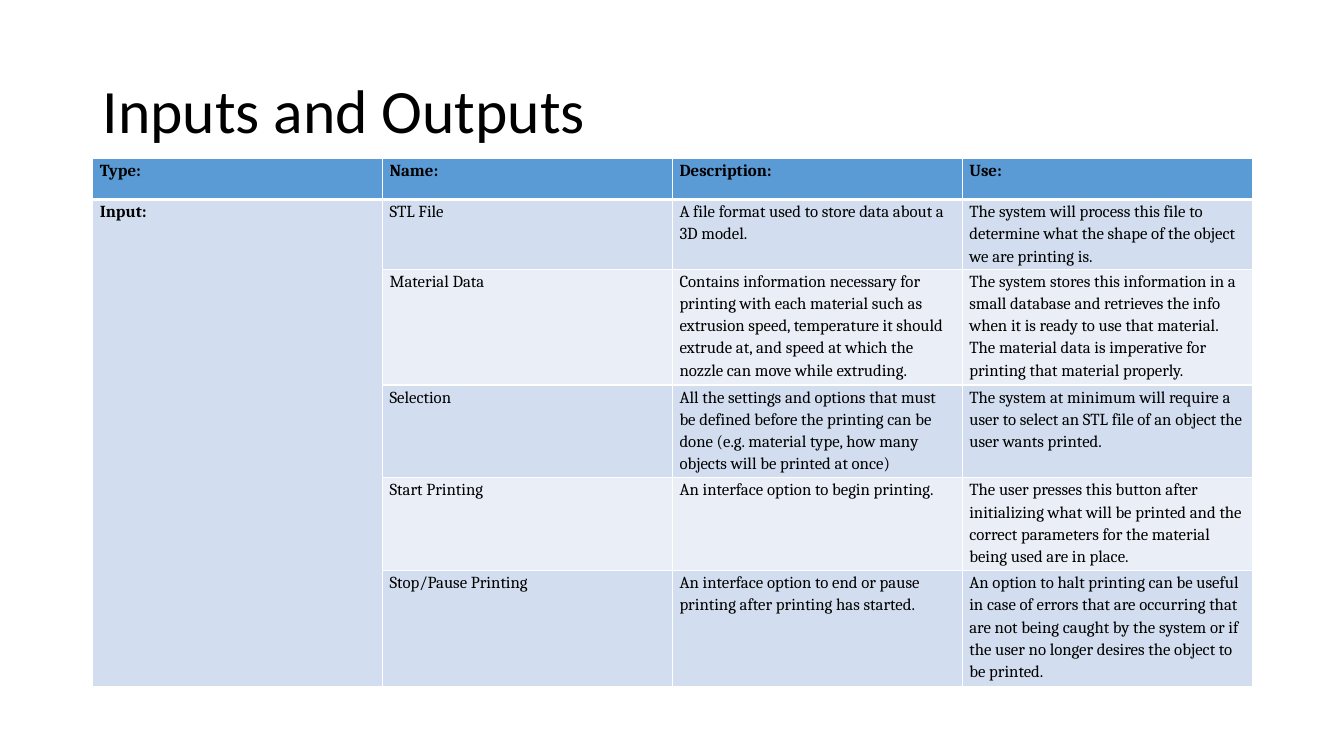
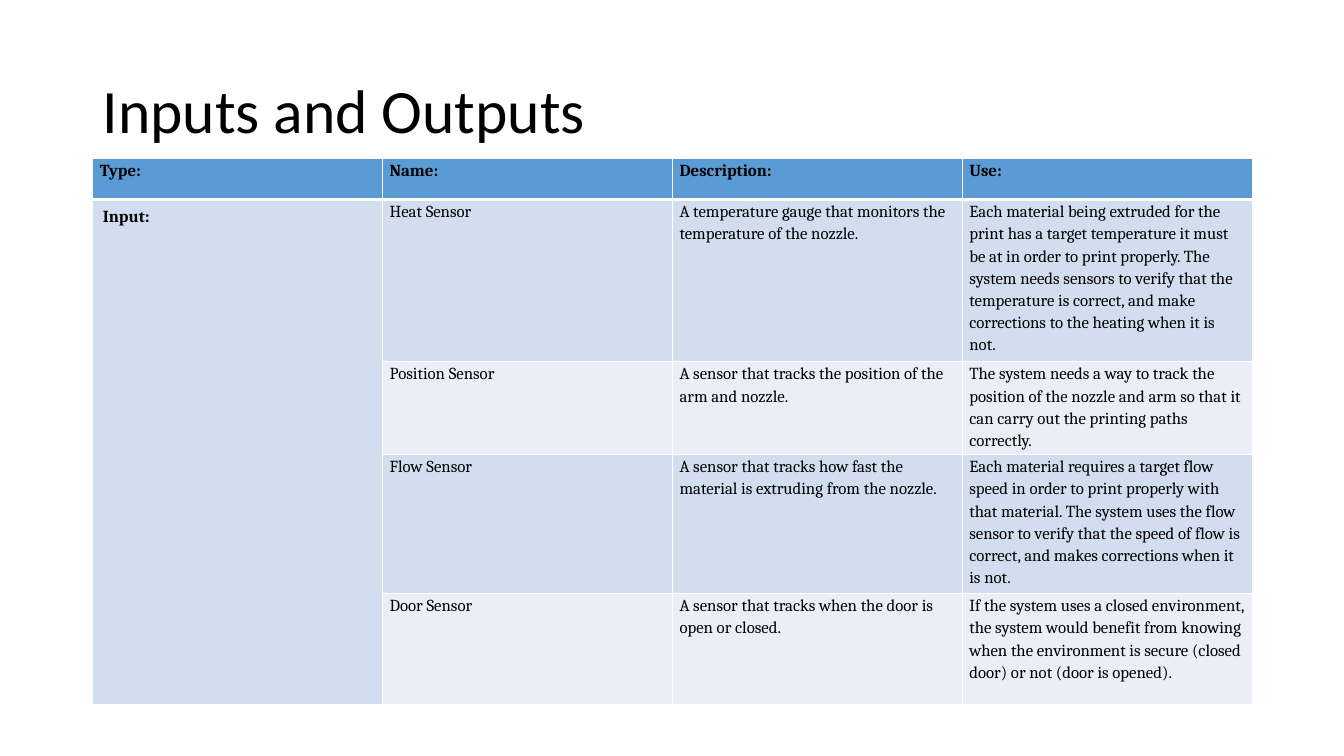
import pptx
import pptx.dml.color
import pptx.enum.text
import pptx.oxml.ns
import pptx.util
from lxml import etree

Inches = pptx.util.Inches
Pt = pptx.util.Pt


def color(hex_text):
    return pptx.dml.color.RGBColor.from_string(hex_text)


class Deck:
    """Holds the shared style and the current slide."""

    TEXT, BORDER, HEADER = "000000", "FFFFFF", "5B9BD5"
    BANDS = ("D2DEEF", "EAEFF7")
    TITLE_FONT, TABLE_FONT = "Calibri", "Cambria"
    LEFT, WIDTH, TABLE_TOP = 0.92, 11.5, 1.57
    HEADER_HEIGHT, LINE_HEIGHT = 0.41, 0.22
    HEADINGS = ("Type:", "Name:", "Description:", "Use:")

    def __init__(self):
        self.presentation = pptx.Presentation()
        self.presentation.slide_width = Inches(13.33)
        self.presentation.slide_height = Inches(7.5)
        self.slide = None

    def add_slide(self):
        blank_layout = self.presentation.slide_layouts[6]
        self.slide = self.presentation.slides.add_slide(blank_layout)

    def style(self, paragraph, font_name, size, bold=False):
        paragraph.font.name = font_name
        paragraph.font.size = Pt(size)
        paragraph.font.bold = bold
        paragraph.font.color.rgb = color(self.TEXT)

    def add_title(self, text):
        box = self.slide.shapes.add_textbox(
            Inches(self.LEFT), Inches(0.4), Inches(self.WIDTH), Inches(1.45))
        frame = box.text_frame
        frame.word_wrap = True
        frame.vertical_anchor = pptx.enum.text.MSO_ANCHOR.MIDDLE
        paragraph = frame.paragraphs[0]
        paragraph.text = text
        paragraph.line_spacing = 0.9
        self.style(paragraph, self.TITLE_FONT, 44)

    def add_border(self, cell, side, width):
        qualified = pptx.oxml.ns.qn
        properties = cell._tc.get_or_add_tcPr()
        line = etree.SubElement(
            properties, qualified("a:ln" + side), w=str(Pt(width)))
        fill = etree.SubElement(line, qualified("a:solidFill"))
        etree.SubElement(fill, qualified("a:srgbClr"), val=self.BORDER)

    def format_cell(self, cell, row, column):
        cell.margin_left = cell.margin_right = Inches(0.07)
        cell.margin_top = cell.margin_bottom = 0
        # A thick rule separates the header from the body
        widths = {"L": 1, "R": 1, "T": 3 if row == 1 else 1, "B": 3 if row == 0 else 1}
        for side, width in widths.items():
            self.add_border(cell, side, width)
        band = self.BANDS[0 if column == 0 else (row - 1) % 2]
        cell.fill.solid()
        cell.fill.fore_color.rgb = color(self.HEADER if row == 0 else band)
        paragraph = cell.text_frame.paragraphs[0]
        paragraph.line_spacing = 1.15
        paragraph.space_after = Pt(10)
        self.style(paragraph, self.TABLE_FONT, 12, bold=row == 0 or column == 0)

    def add_table(self, group, entries):
        """Each entry is (lines of text, name, description, use)."""
        heights = [self.HEADER_HEIGHT]
        heights += [entry[0] * self.LINE_HEIGHT for entry in entries]
        texts = [self.HEADINGS]
        texts += [("" if index else group, *entry[1:])
                  for index, entry in enumerate(entries)]
        table = self.slide.shapes.add_table(
            len(texts), len(self.HEADINGS), Inches(self.LEFT),
            Inches(self.TABLE_TOP), Inches(self.WIDTH), Inches(sum(heights))).table
        for row, (height, row_texts) in enumerate(zip(heights, texts)):
            table.rows[row].height = Inches(height)
            for column, text in enumerate(row_texts):
                cell = table.cell(row, column)
                cell.text = text
                self.format_cell(cell, row, column)
        table.cell(1, 0).merge(table.cell(len(entries), 0))
        return table


CONTROLS = [
    (3, "STL File",
     "A file format used to store data about a 3D model.",
     "The system will process this file to determine what the shape of the "
     "object we are printing is."),
    (5, "Material Data",
     "Contains information necessary for printing with each material such as "
     "extrusion speed, temperature it should extrude at, and speed at which the "
     "nozzle can move while extruding.",
     "The system stores this information in a small database and retrieves the "
     "info when it is ready to use that material. The material data is "
     "imperative for printing that material properly."),
    (4, "Selection",
     "All the settings and options that must be defined before the printing can "
     "be done (e.g. material type, how many objects will be printed at once)",
     "The system at minimum will require a user to select an STL file of an "
     "object the user wants printed."),
    (4, "Start Printing",
     "An interface option to begin printing.",
     "The user presses this button after initializing what will be printed and "
     "the correct parameters for the material being used are in place."),
    (5, "Stop/Pause Printing",
     "An interface option to end or pause printing after printing has started.",
     "An option to halt printing can be useful in case of errors that are "
     "occurring that are not being caught by the system or if the user no longer "
     "desires the object to be printed."),
]

SENSORS = [
    (7, "Heat Sensor",
     "A temperature gauge that monitors the temperature of the nozzle.",
     "Each material being extruded for the print has a target temperature it "
     "must be at in order to print properly. The system needs sensors to verify "
     "that the temperature is correct, and make corrections to the heating when "
     "it is not."),
    (4, "Position Sensor",
     "A sensor that tracks the position of the arm and nozzle.",
     "The system needs a way to track the position of the nozzle and arm so that "
     "it can carry out the printing paths correctly."),
    (6, "Flow Sensor",
     "A sensor that tracks how fast the material is extruding from the nozzle.",
     "Each material requires a target flow speed in order to print properly with "
     "that material. The system uses the flow sensor to verify that the speed of "
     "flow is correct, and makes corrections when it is not."),
    (5, "Door Sensor",
     "A sensor that tracks when the door is open or closed.",
     "If the system uses a closed environment, the system would benefit from "
     "knowing when the environment is secure (closed door) or not (door is "
     "opened)."),
]


def main():
    deck = Deck()
    for entries in (CONTROLS, SENSORS):
        deck.add_slide()
        deck.add_title("Inputs and Outputs")
        table = deck.add_table("Input:", entries)
    # The sensor group label sits a little further in
    label = table.cell(1, 0)
    label.margin_left = label.margin_right = Inches(0.1)
    label.margin_top = label.margin_bottom = Inches(0.05)
    deck.presentation.save("out.pptx")


if __name__ == "__main__":
    main()
